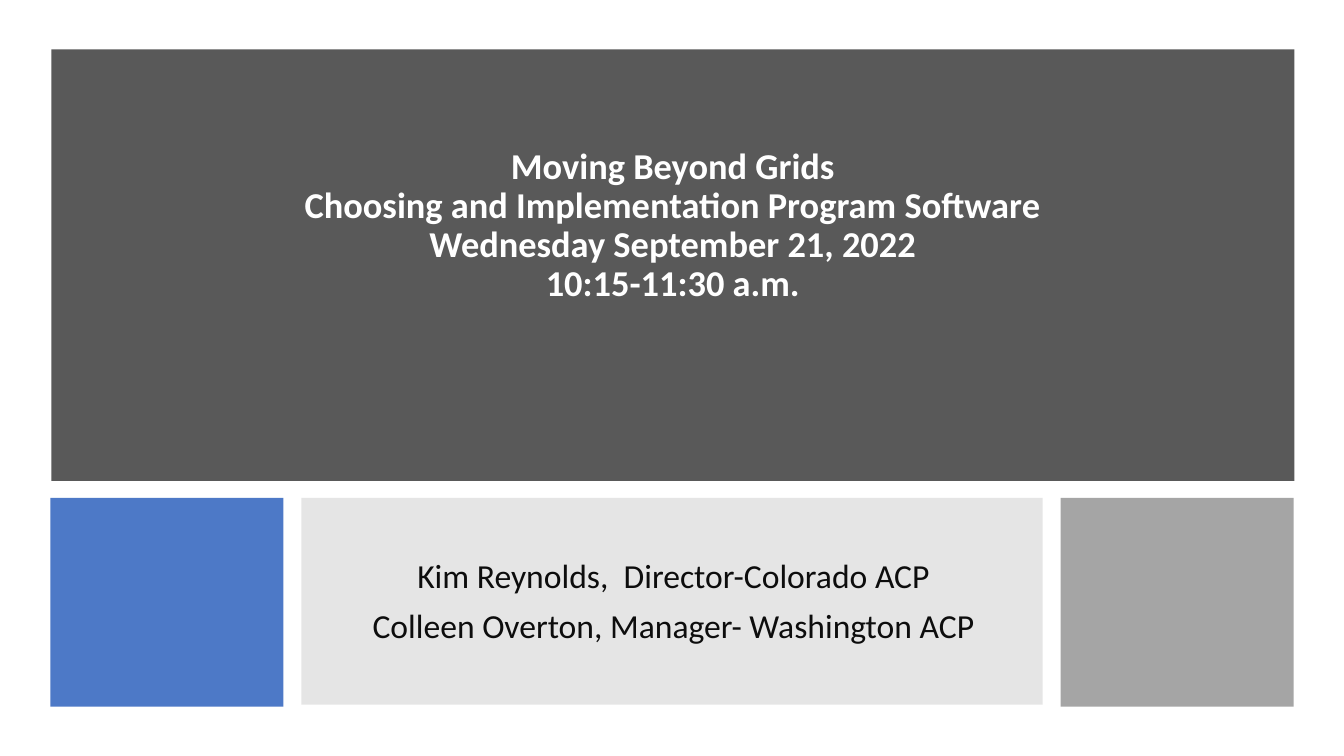
from lxml.etree import SubElement
from pptx import Presentation
from pptx.dml.color import RGBColor as RGB
from pptx.enum.shapes import MSO_SHAPE as SHAPE
from pptx.enum.text import MSO_ANCHOR as ANCHOR, PP_ALIGN as ALIGN
from pptx.oxml.ns import qn
from pptx.util import Inches, Pt

THEME = {
    "font": "Calibri",
    "title_size": 26,
    "speaker_size": 24,
    "title_text": "FFFFFF",
    "speaker_text": "0D0D0D",
    "banner": "595959",
    "blue": "4472C4",
    "panel": "7F7F7F",
    "gray": "A5A5A5",
}


def add_text(s, box, lines, size, color, bold=False, before=0, bottom=0.05):
    tb = s.shapes.add_textbox(*map(Inches, box))
    tf = tb.text_frame
    tf.word_wrap = True
    tf.vertical_anchor = ANCHOR.MIDDLE
    tf.margin_bottom = Inches(bottom)
    tf.text = "\n".join(lines)
    for p in tf.paragraphs:
        p.alignment = ALIGN.CENTER
        p.line_spacing = 0.9
        p.space_before = Pt(before)
        for r in p.runs:
            r.font.name = THEME["font"]
            r.font.size = Pt(size)
            r.font.bold = bold
            r.font.color.rgb = RGB.from_string(color)


prs = Presentation()
prs.slide_width = Inches(13.33)
prs.slide_height = Inches(7.5)
s = prs.slides.add_slide(prs.slide_layouts[6])

blocks = [
    ((0.51, 0.49, 12.33, 4.28), "banner", 100),
    ((0.5, 4.94, 2.31, 2.07), "blue", 95),
    ((2.99, 4.94, 7.35, 2.05), "panel", 20),
    ((10.52, 4.94, 2.31, 2.07), "gray", 100),
]
for box, color, opacity in blocks:
    sp = s.shapes.add_shape(SHAPE.RECTANGLE, *map(Inches, box))
    sp.shadow.inherit = False
    sp.line.fill.background()
    sp.fill.solid()
    sp.fill.fore_color.rgb = RGB.from_string(THEME[color])
    if opacity < 100:
        clr = sp._element.spPr.find(qn("a:solidFill"))[0]
        SubElement(clr, qn("a:alpha"), val=str(opacity * 1000))

title = "\v".join([
    "Moving Beyond Grids",
    "Choosing and Implementation Program Software",
    "Wednesday September 21, 2022",
    "10:15-11:30 a.m.",
])
add_text(s, (1.2, 1.2, 10.95, 2.87), [title], size=THEME["title_size"],
         color=THEME["title_text"], bold=True, bottom=0.83)

speakers = [
    "Kim Reynolds,  Director-Colorado ACP",
    "Colleen Overton, Manager- Washington ACP",
]
add_text(s, (3.53, 5.3, 6.3, 1.35), speakers, size=THEME["speaker_size"],
         color=THEME["speaker_text"], before=10)

prs.save("out.pptx")
